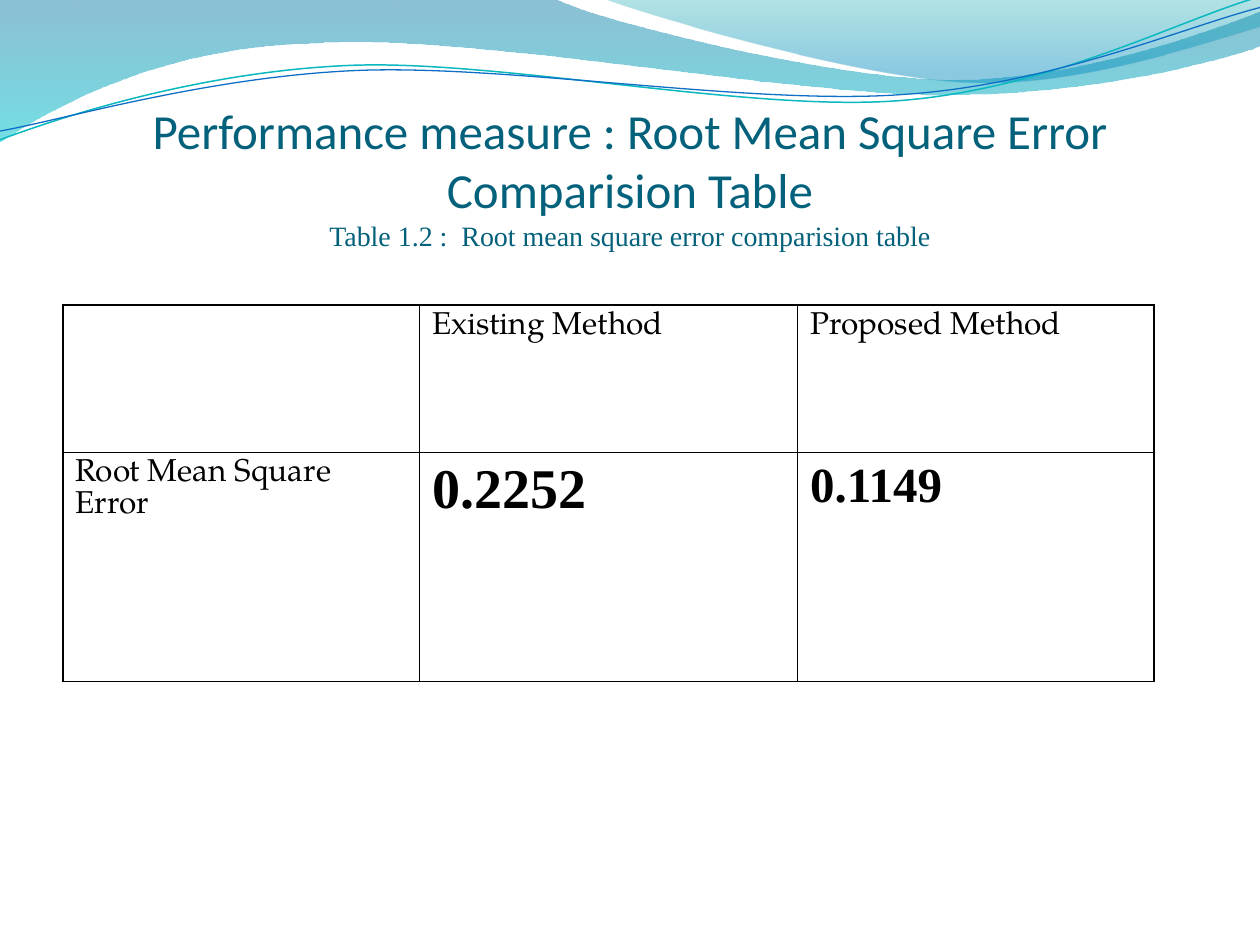
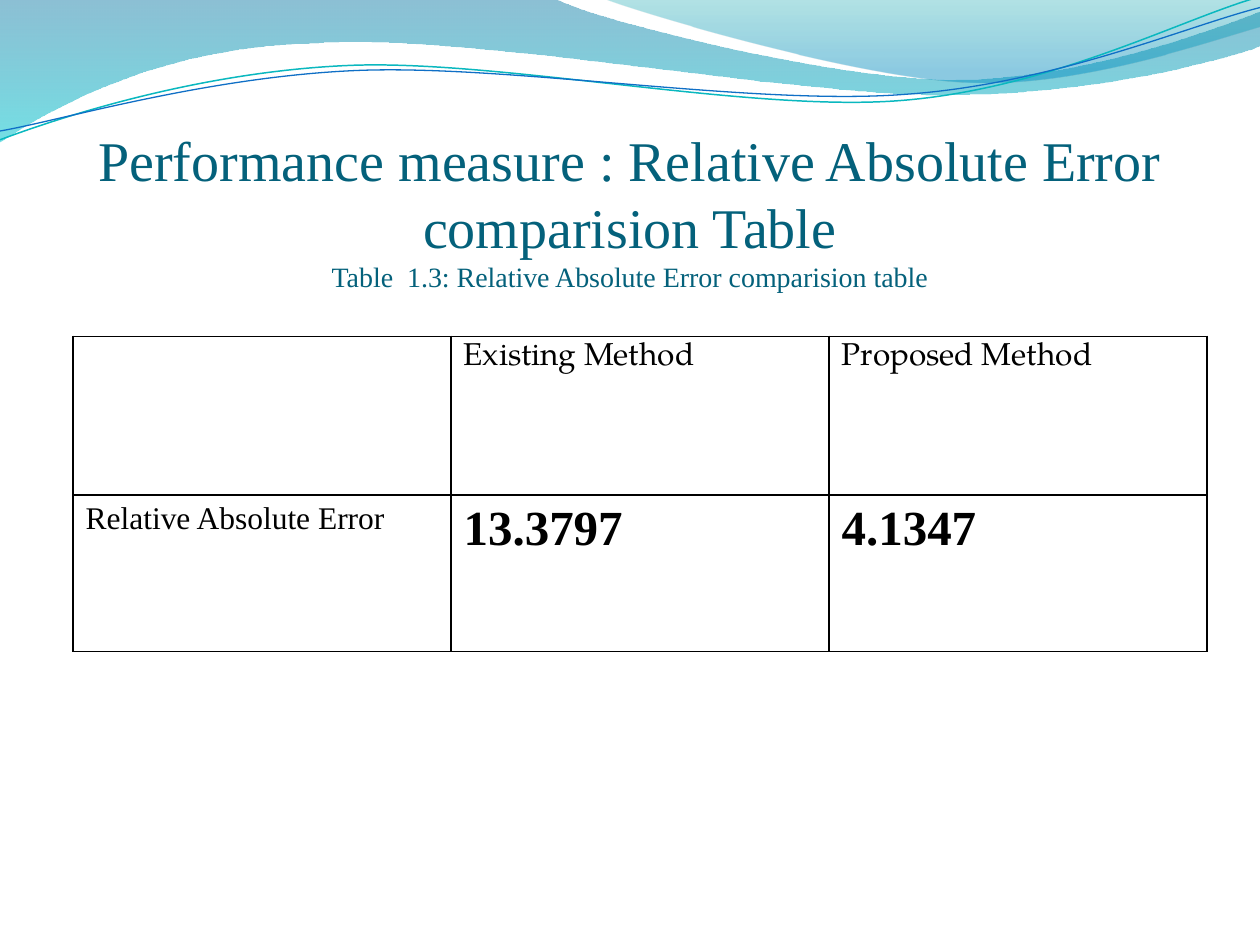
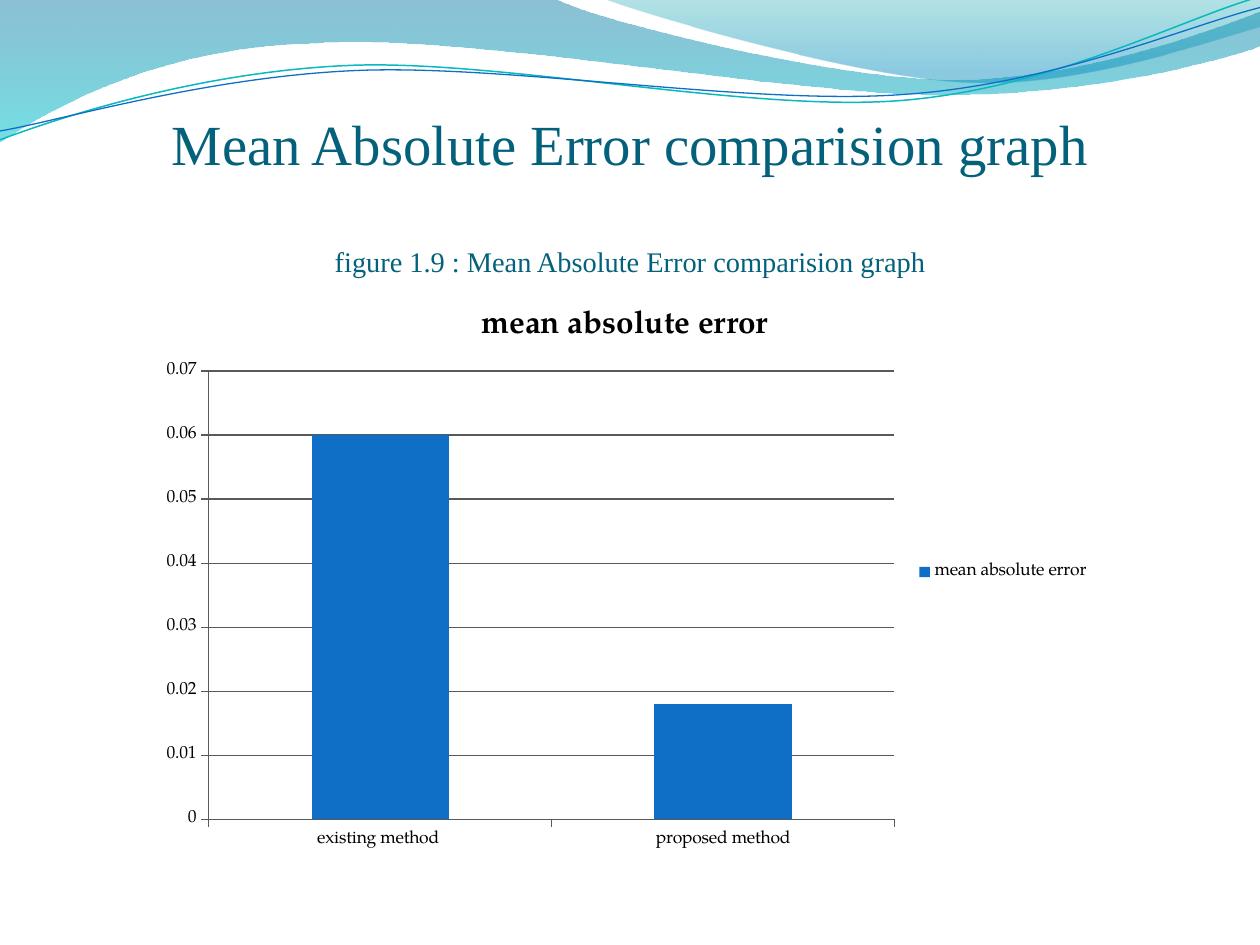
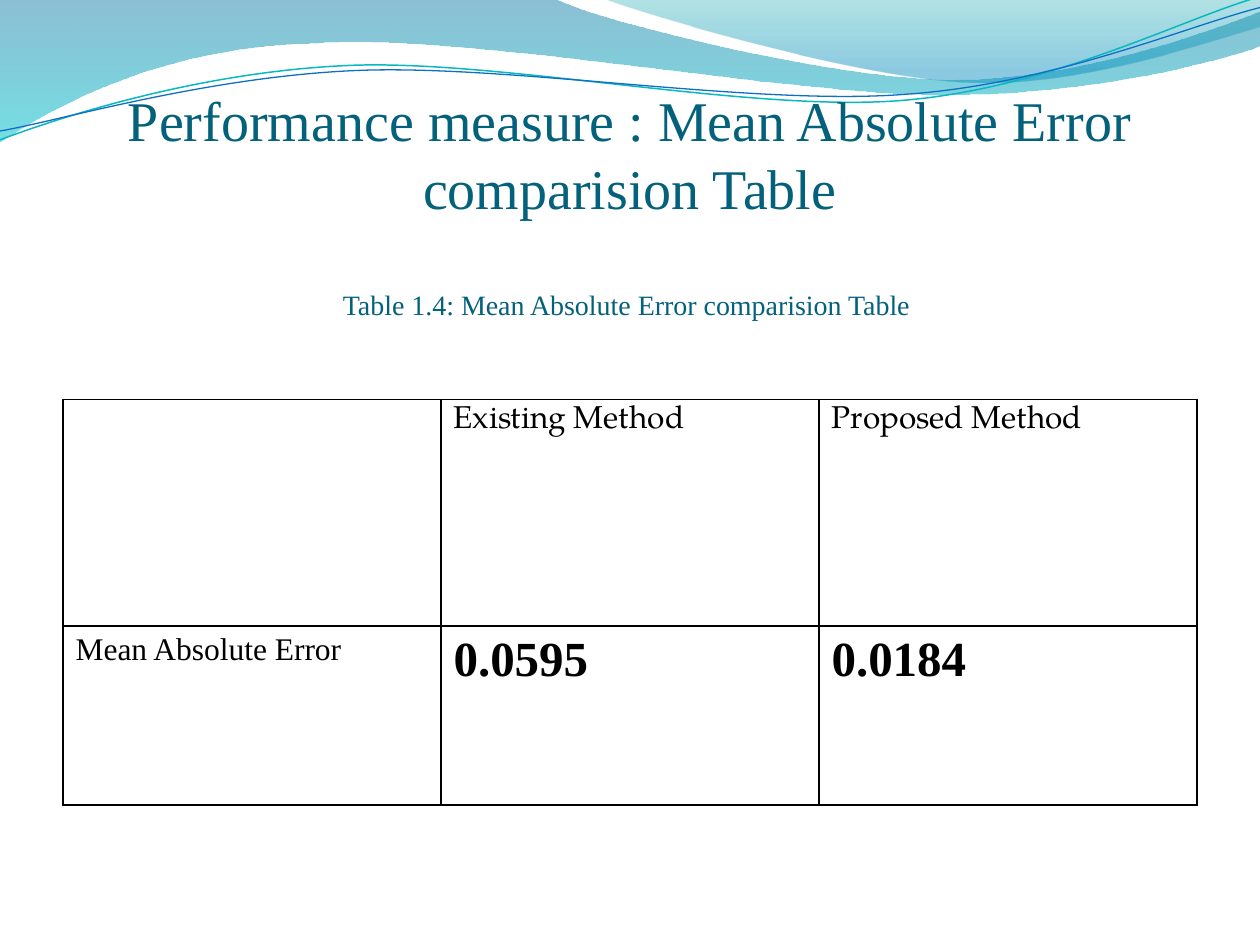
from pptx import Presentation
from pptx.chart.data import CategoryChartData as Data
from pptx.dml.color import RGBColor as Rgb
from pptx.enum.chart import XL_CHART_TYPE as Kind, XL_LEGEND_POSITION as Spot
from pptx.enum.text import MSO_ANCHOR as Anchor, MSO_AUTO_SIZE as Auto, PP_ALIGN as Align
from pptx.oxml import parse_xml
from pptx.oxml.ns import nsdecls, qn
from pptx.util import Inches, Pt

HUES = {
    "title": "04617B", "text": "000000", "bar": "0F6FC6", "axis": "595959",
    "teal": "0AB8BF", "blue": "0F6FC6",
}
SERIF, SANS, BOOK = "Times New Roman", "Calibri", "TeX Gyre Pagella"

# Each wave: start point, then straight (2 numbers) or cubic (6 numbers) parts
BANDS = [
    ([(0, 0), (4.4, -0.01), (4.76, 0.17, 6.64, 0.63, 7.58, 0.63),
      (8.53, 0.63, 9.58, 0.26, 10, 0.09), (10.01, 0.36),
      (9.83, 0.44, 8.7, 0.76, 7.46, 0.75), (6.22, 0.75, 3.82, 0.28, 2.57, 0.34),
      (1.29, 0.36, 0.46, 0.83, -0.01, 1.13)],
     [(0, "0074A1", 45), (1, "00C6CF", 55)]),
    ([(4.79, -0.01), (5.09, 0.11, 6.82, 0.62, 7.69, 0.65),
      (8.56, 0.69, 9.61, 0.32, 10, 0.21), (10, 0)],
     [(0, "00A1A9", 30), (0.8, "008BBF", 45)]),
]
LINES = [
    ([(0, 1.11), (0.48, 0.93, 1.58, 0.57, 2.77, 0.52),
      (3.95, 0.47, 5.93, 0.89, 7.13, 0.8), (8.33, 0.71, 9.38, 0.15, 9.98, -0.02)],
     "teal", 0.85),
    ([(0, 1.04), (0.47, 0.96, 1.64, 0.61, 2.83, 0.56),
      (4.03, 0.51, 5.97, 0.84, 7.17, 0.75), (8.36, 0.67, 9.41, 0.21, 10, 0.06)],
     "blue", 0.75),
]

PAGES = [
    {"head": "Performance measure : Root Mean Square Error Comparision Table",
     "note": "Table 1.2 :  Root mean square error comparision table",
     "box": (0.5, 0.77, 9, 1.23), "font": SANS, "sizes": (28, 16), "gap": 0, "foot": 0,
     "grid": (0.5, 2.42), "cols": (2.83, 3, 2.83), "rows": (1.17, 1.82),
     "row": [("Root Mean Square Error", BOOK, 18), ("0.2252", SERIF, 32), ("0.1149", SERIF, 28)]},
    {"head": "Performance measure : Relative Absolute Error comparision Table",
     "note": "Table  1.3: Relative Absolute Error comparision table",
     "box": (0.5, 1, 9, 1.33), "font": SERIF, "sizes": (32, 16), "gap": 0, "foot": 0,
     "grid": (0.58, 2.67), "cols": (3, 3, 3), "rows": (1.26, 1.24),
     "row": [("Relative Absolute Error", SERIF, 18), ("13.3797", SERIF, 28), ("4.1347", SERIF, 28)]},
    {"head": "Mean Absolute Error comparision graph",
     "note": "figure 1.9 : Mean Absolute Error comparision graph",
     "box": (0.5, 1.08, 9, 1.67), "font": SERIF, "sizes": (32.4, 16.2), "gap": 38.5, "foot": 0.54,
     "chart": (1.17, 2.25, 7.58, 4.58)},
    {"head": "Performance measure : Mean Absolute Error comparision Table",
     "note": "Table 1.4: Mean Absolute Error comparision Table ",
     "box": (0.5, 0.77, 9, 2.31), "font": SERIF, "sizes": (32, 16), "gap": 38.5, "foot": 0.53,
     "grid": (0.5, 3.17), "cols": (3, 3, 3), "rows": (1.8, 1.42),
     "row": [("Mean Absolute Error", SERIF, 18), ("0.0595", SERIF, 28), ("0.0184", SERIF, 28)]},
]


def style(font, name, size, hue, bold=False):
    for key, val in {"name": name, "size": Pt(size), "bold": bold}.items():
        setattr(font, key, val)
    font.color.rgb = Rgb.from_string(HUES[hue])


def wave(shapes, parts, close):
    """Draw a freeform through all points, then join each cubic's three into a curve."""
    pts = [(Inches(part[i]), Inches(part[i + 1]))
           for part in parts for i in range(0, len(part), 2)]
    pen = shapes.build_freeform(*pts[0], scale=1)
    pen.add_line_segments(pts[1:], close=close)
    shape = pen.convert_to_shape()
    shape.shadow.inherit = False
    steps = iter(list(shape.element.iter(qn("a:lnTo"))))
    for part in parts[1:]:
        step = next(steps)
        if len(part) == 6:
            curve = parse_xml(f'<a:cubicBezTo {nsdecls("a")}/>')
            step.addprevious(curve)
            for node in (step, next(steps), next(steps)):
                curve.append(node[0])
                node.getparent().remove(node)
    return shape


deck = Presentation()
deck.slide_width, deck.slide_height = Inches(10), Inches(7.5)
layout = deck.slide_layouts[5]
slides = [deck.slides.add_slide(layout) for page in PAGES]

# Waves are drawn once, then moved to the layout that all slides share
shapes = slides[0].shapes
waves = []
for parts, stops in BANDS:
    band = wave(shapes, parts, True)
    band.line.fill.background()
    band.fill.gradient()
    band.fill.gradient_angle = 270
    for stop, (pos, hue, _) in zip(band.fill.gradient_stops, stops):
        stop.position = pos
        stop.color.rgb = Rgb.from_string(hue)
    for node, (_, _, alpha) in zip(band.element.spPr.iter(qn("a:srgbClr")), stops):
        node.append(parse_xml(f'<a:alpha {nsdecls("a")} val="{alpha * 1000}"/>'))
    waves.append(band)
for parts, hue, width in LINES:
    line = wave(shapes, parts, False)
    line.fill.background()
    line.line.color.rgb = Rgb.from_string(HUES[hue])
    line.line.width = Pt(width)
    waves.append(line)
for i, shape in enumerate(waves):
    layout.shapes.element.insert(2 + i, shape.element)

for slide, page in zip(slides, PAGES):
    title = slide.shapes.title
    for key, val in zip(("left", "top", "width", "height"), page["box"]):
        setattr(title, key, Inches(val))
    frame = title.text_frame
    form = {
        "margin_left": 0, "margin_right": 0, "margin_top": Inches(0.05),
        "margin_bottom": Inches(page["foot"]), "vertical_anchor": Anchor.BOTTOM,
        "word_wrap": True, "auto_size": Auto.NONE,
    }
    for key, val in form.items():
        setattr(frame, key, val)
    frame.text = page["head"] + "\n" + page["note"]
    fonts, gaps = (page["font"], SERIF), (0, page["gap"])
    for para, font, size, gap in zip(frame.paragraphs, fonts, page["sizes"], gaps):
        para.alignment, para.space_before = Align.CENTER, Pt(gap)
        style(para.runs[0].font, font, size, "title")

    if "grid" in page:
        cols, rows = page["cols"], page["rows"]
        size = (*page["grid"], sum(cols), sum(rows))
        table = slide.shapes.add_table(2, 3, *map(Inches, size)).table
        table.first_row = table.horz_banding = False
        for col, width in zip(table.columns, cols):
            col.width = Inches(width)
        for row, height in zip(table.rows, rows):
            row.height = Inches(height)
        top = [("", BOOK, 18), ("Existing Method", BOOK, 18), ("Proposed Method", BOOK, 18)]
        for cell, (text, font, size) in zip(table.iter_cells(), top + page["row"]):
            cell.text = text
            for run in cell.text_frame.paragraphs[0].runs:
                style(run.font, font, size, "text", text[0].isdigit())
            props = cell._tc.get_or_add_tcPr()
            for side in "LRTB":
                props.append(parse_xml(
                    f'<a:ln{side} {nsdecls("a")} w="{Pt(1)}"><a:solidFill>'
                    f'<a:srgbClr val="{HUES["text"]}"/></a:solidFill></a:ln{side}>'))
            cell.fill.background()
    else:
        data = Data()
        data.categories = ["existing method ", "proposed method"]
        data.add_series("mean absolute error", [0.06, 0.018])
        chart = slide.shapes.add_chart(
            Kind.COLUMN_CLUSTERED, *map(Inches, page["chart"]), data).chart
        style(chart.font, BOOK, 10, "text")
        chart.has_title = chart.has_legend = True
        chart.chart_title.text_frame.text = "mean absolute error"
        style(chart.chart_title.text_frame.paragraphs[0].runs[0].font, BOOK, 18, "text", True)
        chart.legend.position = Spot.RIGHT
        chart.legend.include_in_layout = False
        plot = chart.plots[0]
        plot.gap_width, plot.vary_by_categories = 150, False
        bars = plot.series[0].format.fill
        bars.solid()
        bars.fore_color.rgb = Rgb.from_string(HUES["bar"])
        vals, cats = chart.value_axis, chart.category_axis
        scale = {"minimum_scale": 0, "maximum_scale": 0.07, "major_unit": 0.01,
                 "has_major_gridlines": True}
        for key, val in scale.items():
            setattr(vals, key, val)
        for part in (vals, cats, vals.major_gridlines):
            part.format.line.color.rgb = Rgb.from_string(HUES["axis"])
            part.format.line.width = Pt(0.75)

deck.save("out.pptx")
